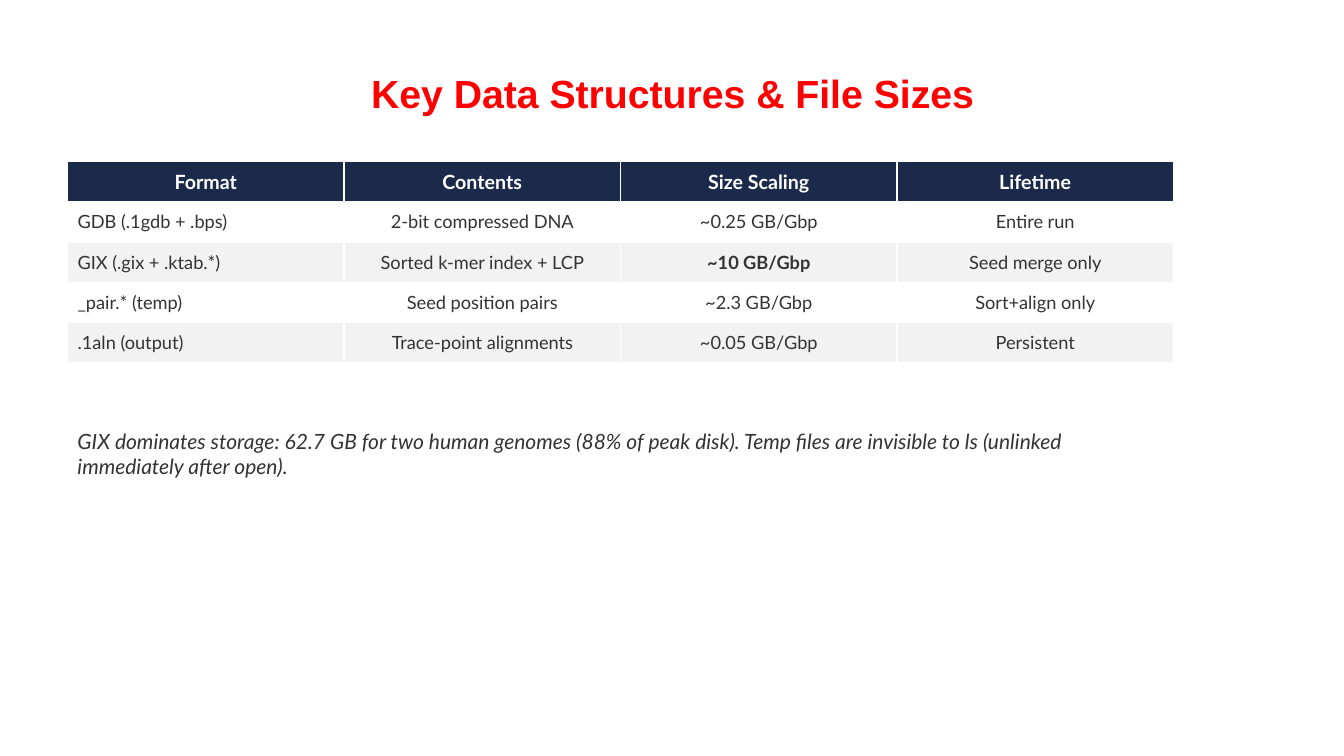
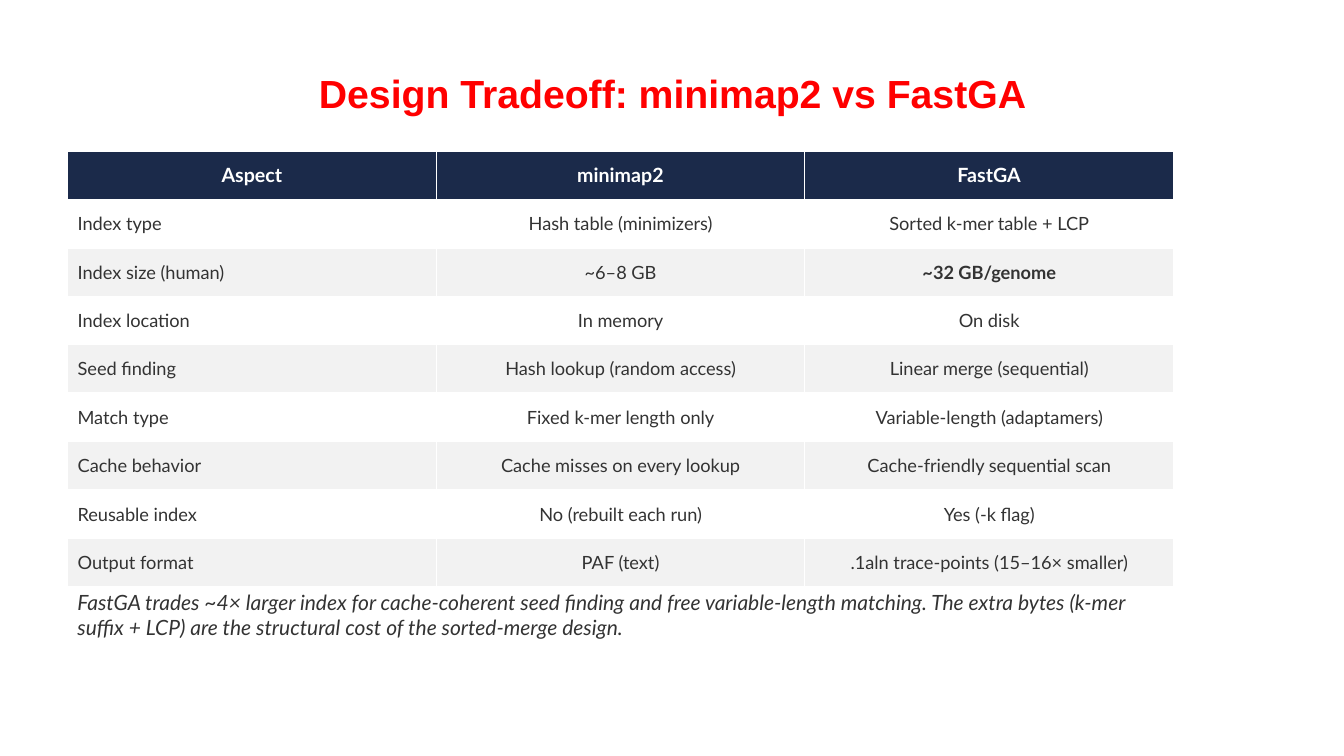
"""Build two slides that each pair a comparison table with a closing remark."""
from pptx import Presentation
from pptx.dml.color import RGBColor
from pptx.enum.text import MSO_ANCHOR, MSO_AUTO_SIZE, PP_ALIGN
from pptx.util import Inches, Pt

RED, NAVY, WHITE, GRAY, INK = "FF0000", "1B2A4A", "FFFFFF", "F2F2F2", "333333"
LEFT, WIDTH = Inches(0.67), Inches(10.97)

SLIDES = [
    {
        "title": "Key Data Structures & File Sizes",
        "top": 1.6,
        "row": 0.4,
        "rows": [
            ("Format", "Contents", "Size Scaling", "Lifetime"),
            ("GDB (.1gdb + .bps)", "2-bit compressed DNA", "~0.25 GB/Gbp", "Entire run"),
            ("GIX (.gix + .ktab.*)", "Sorted k-mer index + LCP", "~10 GB/Gbp", "Seed merge only"),
            ("_pair.* (temp)", "Seed position pairs", "~2.3 GB/Gbp", "Sort+align only"),
            (".1aln (output)", "Trace-point alignments", "~0.05 GB/Gbp", "Persistent"),
        ],
        "strong": (2, 2),
        "note": "GIX dominates storage: 62.7 GB for two human genomes (88% of peak disk). "
                "Temp files are invisible to ls (unlinked immediately after open).",
        "place": (4.2, 1.5),
    },
    {
        "title": "Design Tradeoff: minimap2 vs FastGA",
        "top": 1.5,
        "row": 0.48,
        "rows": [
            ("Aspect", "minimap2", "FastGA"),
            ("Index type", "Hash table (minimizers)", "Sorted k-mer table + LCP"),
            ("Index size (human)", "~6–8 GB", "~32 GB/genome"),
            ("Index location", "In memory", "On disk"),
            ("Seed finding", "Hash lookup (random access)", "Linear merge (sequential)"),
            ("Match type", "Fixed k-mer length only", "Variable-length (adaptamers)"),
            ("Cache behavior", "Cache misses on every lookup", "Cache-friendly sequential scan"),
            ("Reusable index", "No (rebuilt each run)", "Yes (-k flag)"),
            ("Output format", "PAF (text)", ".1aln trace-points (15–16× smaller)"),
        ],
        "strong": (2, 2),
        "note": "FastGA trades ~4× larger index for cache-coherent seed finding and free "
                "variable-length matching. The extra bytes (k-mer suffix + LCP) are the "
                "structural cost of the sorted-merge design.",
        "place": (5.8, 1.2),
    },
]


def color(code):
    return RGBColor.from_string(code)


def write(frame, text, size, ink, face="Lato", bold=False, slant=False, align=PP_ALIGN.LEFT):
    frame.text = text
    line = frame.paragraphs[0]
    line.alignment = align
    font = line.runs[0].font
    font.name, font.size, font.bold, font.italic = face, Pt(size), bold, slant
    font.color.rgb = color(ink)


def add_title(slide, text):
    title = slide.shapes.title
    title.left, title.top = LEFT, Inches(0.3)
    title.width, title.height = Inches(12), Inches(1.25)
    title.text_frame.vertical_anchor = MSO_ANCHOR.MIDDLE
    write(title.text_frame, text, 28, RED, "Arial", bold=True, align=PP_ALIGN.CENTER)


def add_grid(slide, rows, top, height, strong):
    count = len(rows[0])
    grid = slide.shapes.add_table(
        len(rows), count, LEFT, Inches(top), WIDTH, Inches(height * len(rows))).table
    for col in grid.columns:
        col.width = WIDTH // count
    for r, row in enumerate(rows):
        grid.rows[r].height = Inches(height)
        head = r == 0
        fill = NAVY if head else WHITE if r % 2 else GRAY
        for c, text in enumerate(row):
            cell = grid.cell(r, c)
            cell.vertical_anchor = MSO_ANCHOR.MIDDLE
            cell.fill.solid()
            cell.fill.fore_color.rgb = color(fill)
            write(cell.text_frame, text, 14 if head else 13, WHITE if head else INK,
                  bold=head or (r, c) == strong,
                  align=PP_ALIGN.CENTER if head or c else PP_ALIGN.LEFT)


def add_note(slide, text, top, height):
    frame = slide.shapes.add_textbox(LEFT, Inches(top), WIDTH, Inches(height)).text_frame
    frame.word_wrap = True
    frame.auto_size = MSO_AUTO_SIZE.SHAPE_TO_FIT_TEXT
    write(frame, text, 15, INK, slant=True)


def main():
    deck = Presentation()
    deck.slide_width, deck.slide_height = Inches(13.33), Inches(7.5)
    for data in SLIDES:
        slide = deck.slides.add_slide(deck.slide_layouts[5])
        add_title(slide, data["title"])
        add_grid(slide, data["rows"], data["top"], data["row"], data["strong"])
        add_note(slide, data["note"], *data["place"])
    deck.save("out.pptx")


if __name__ == "__main__":
    main()
